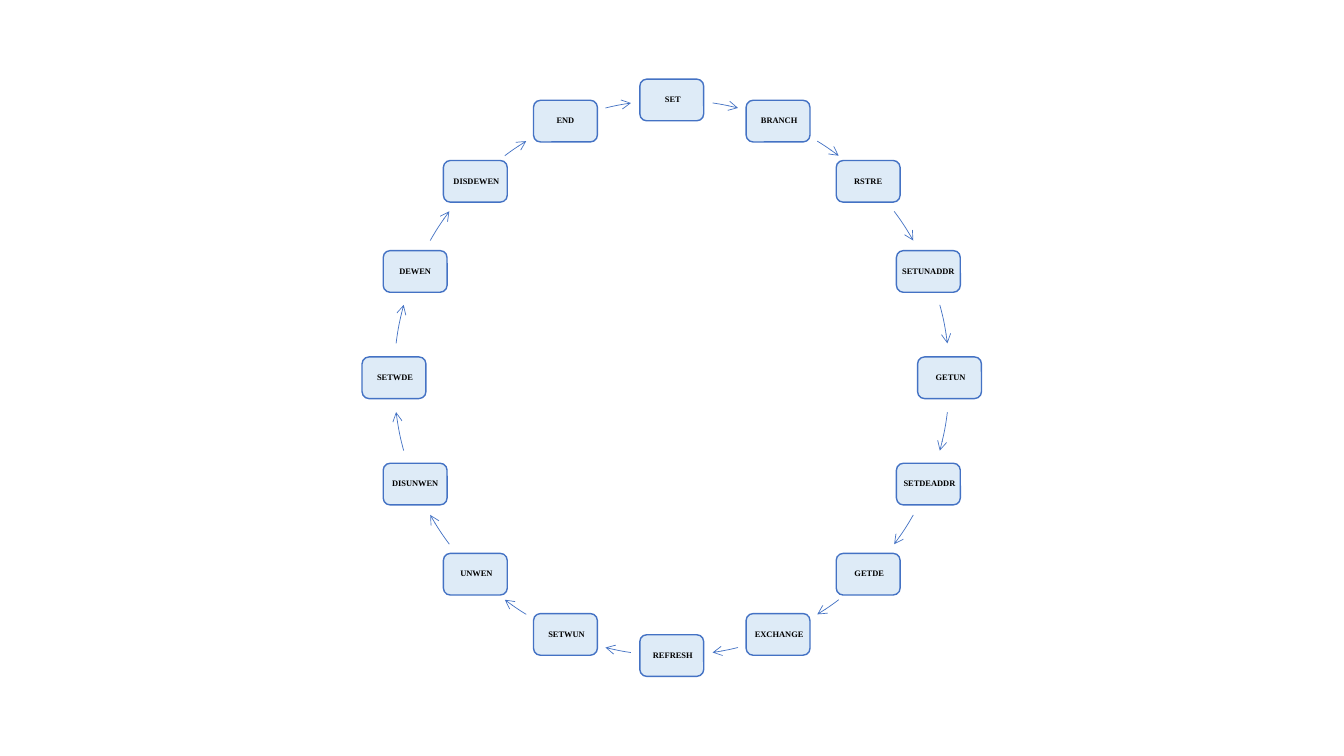
from dataclasses import dataclass
from math import cos, radians, sin

from pptx import Presentation
from pptx.dml.color import RGBColor
from pptx.enum.shapes import MSO_SHAPE
from pptx.enum.text import MSO_ANCHOR, PP_ALIGN
from pptx.oxml import parse_xml
from pptx.oxml.ns import nsdecls
from pptx.shapes.autoshape import Shape
from pptx.slide import Slide
from pptx.util import Cm, Pt

SLIDE_W, SLIDE_H = 33.87, 19.05
CENTER_X, CENTER_Y, RADIUS = 16.93, 9.52, 7.0
NODE_W, NODE_H = 1.61, 1.05
BLUE, PALE_BLUE, BLACK = "4472C4", "DEEBF7", "000000"

LABELS = [
    " SET", " BRANCH", "RSTRE", "SETUNADDR", " GETUN", " SETDEADDR",
    " GETDE", " EXCHANGE", " REFRESH", " SETWUN", " UNWEN", "DISUNWEN",
    " SETWDE", "DEWEN", " DISDEWEN", "END",
]
# Arrow spans in the first quarter, in degrees clockwise from the top
QUARTER = [(8.45, 13.8), (31.6, 36.95), (53.2, 60.4), (74.8, 82.9)]
HALF = QUARTER + [(180 - end, 180 - start) for start, end in reversed(QUARTER)]
SPANS = HALF + [(start + 180, end + 180) for start, end in HALF]


@dataclass
class Step:
    label: str
    angle: float
    arrow_start: float
    arrow_end: float


def rgb(value: str) -> RGBColor:
    return RGBColor.from_string(value)


def set_line(sp: Shape, color: str, width: float) -> None:
    sp.shadow.inherit = False
    sp.line.color.rgb = rgb(color)
    sp.line.width = Pt(width)


def add_text(sp: Shape, text: str, *, size: float, color: str,
             font: str = "Times New Roman", bold: bool = False) -> None:
    tf = sp.text_frame
    tf.word_wrap = False
    tf.vertical_anchor = MSO_ANCHOR.MIDDLE
    tf.margin_left = tf.margin_right = Cm(0.06)
    tf.margin_top = tf.margin_bottom = Cm(0.06)
    p = tf.paragraphs[0]
    p.alignment = PP_ALIGN.CENTER
    p.line_spacing = 0.9
    r = p.add_run()
    r.text = text
    r.font.name = font
    r.font.size = Pt(size)
    r.font.bold = bold
    r.font.color.rgb = rgb(color)


def add_node(s: Slide, step: Step) -> None:
    x = CENTER_X + RADIUS * sin(radians(step.angle))
    y = CENTER_Y - RADIUS * cos(radians(step.angle))
    sp = s.shapes.add_shape(
        MSO_SHAPE.ROUNDED_RECTANGLE, Cm(x - NODE_W / 2), Cm(y - NODE_H / 2),
        Cm(NODE_W), Cm(NODE_H))
    sp.fill.solid()
    sp.fill.fore_color.rgb = rgb(PALE_BLUE)
    set_line(sp, BLUE, 1)
    add_text(sp, step.label, size=6, color=BLACK, bold=True)


def add_arc_arrow(s: Slide, step: Step) -> None:
    sp = s.shapes.add_shape(
        MSO_SHAPE.ARC, Cm(CENTER_X - RADIUS), Cm(CENTER_Y - RADIUS),
        Cm(2 * RADIUS), Cm(2 * RADIUS))
    # Arc angles run from the right-hand side, in 60000ths of a degree;
    # adjustments are scaled by 100000.
    for i, angle in enumerate((step.arrow_start, step.arrow_end)):
        sp.adjustments[i] = (angle - 90) % 360 * 0.6
    sp.fill.background()
    set_line(sp, BLUE, 0.5)
    sp.line._get_or_add_ln().append(
        parse_xml(f'<a:tailEnd {nsdecls("a")} type="arrow"/>'))


def main() -> None:
    prs = Presentation()
    prs.slide_width, prs.slide_height = Cm(SLIDE_W), Cm(SLIDE_H)
    s = prs.slides.add_slide(prs.slide_layouts[6])
    pitch = 360 / len(LABELS)
    for i, (label, span) in enumerate(zip(LABELS, SPANS)):
        step = Step(label, i * pitch, *span)
        add_node(s, step)
        add_arc_arrow(s, step)
    prs.save("out.pptx")


if __name__ == "__main__":
    main()
